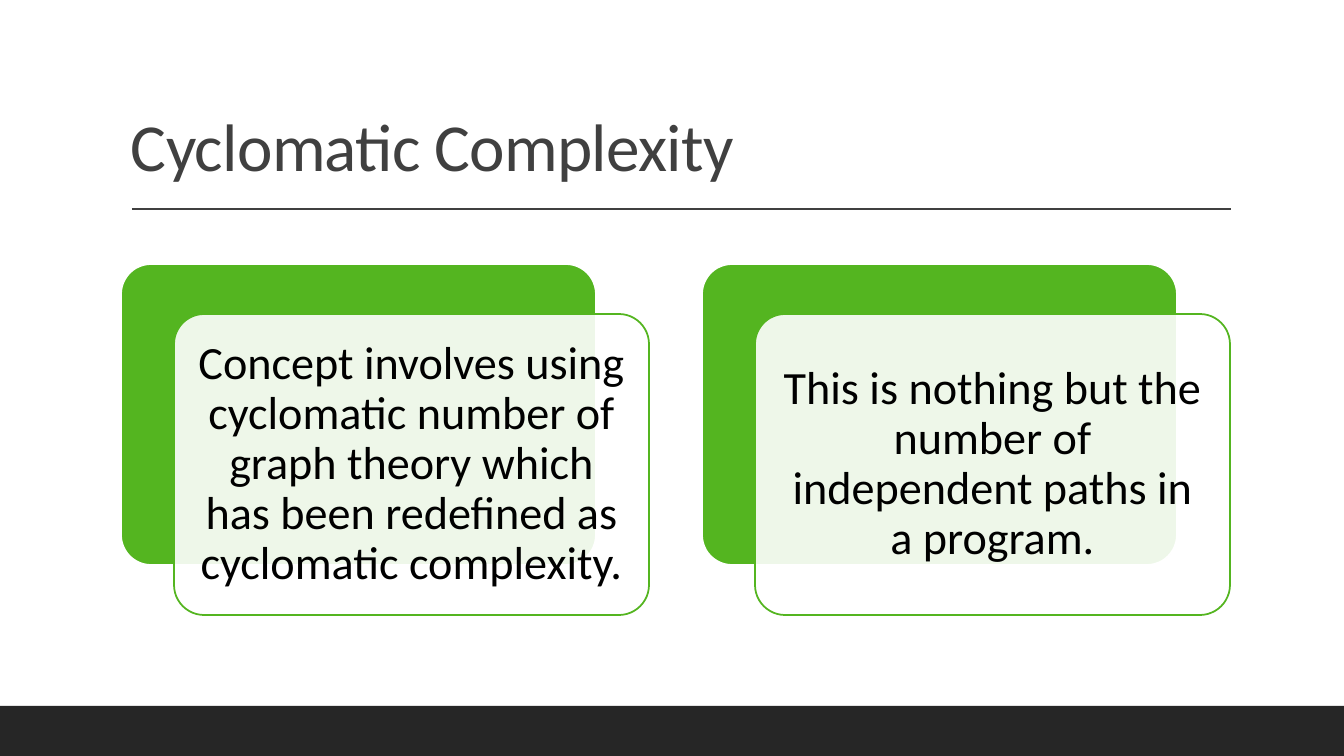
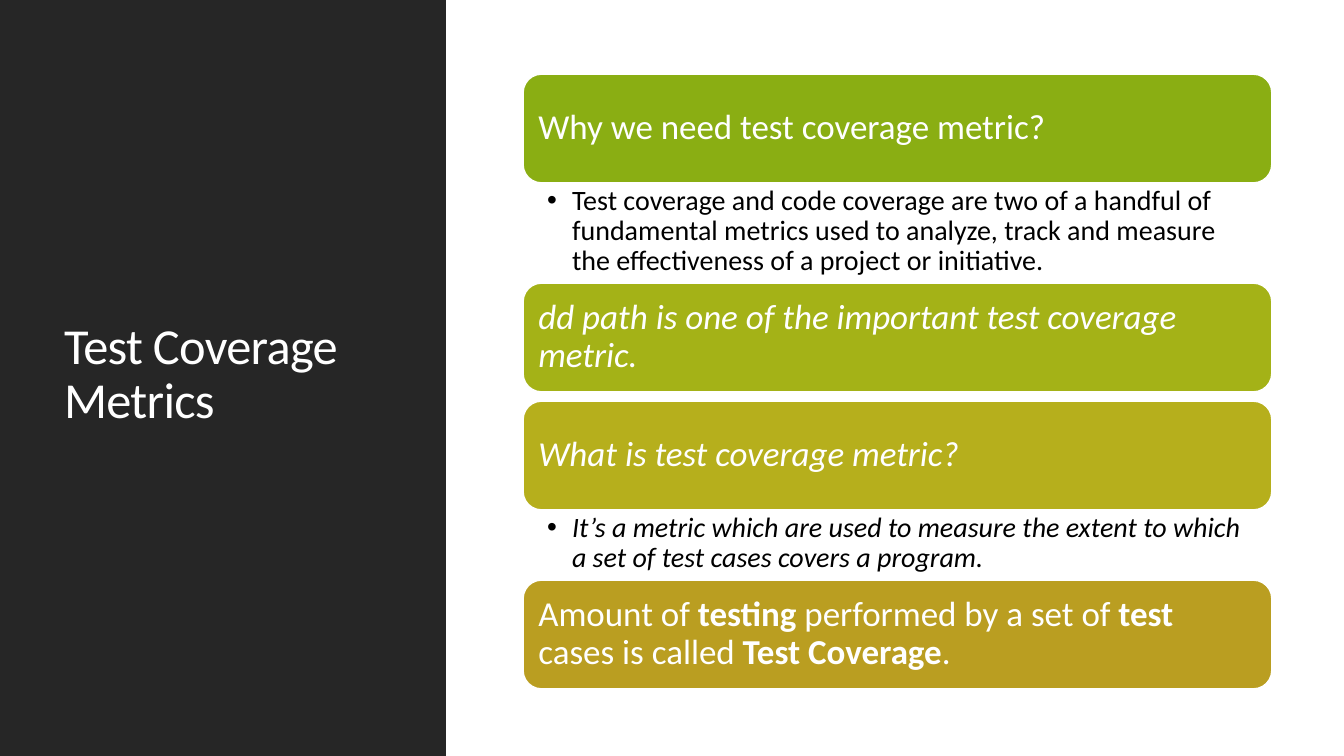
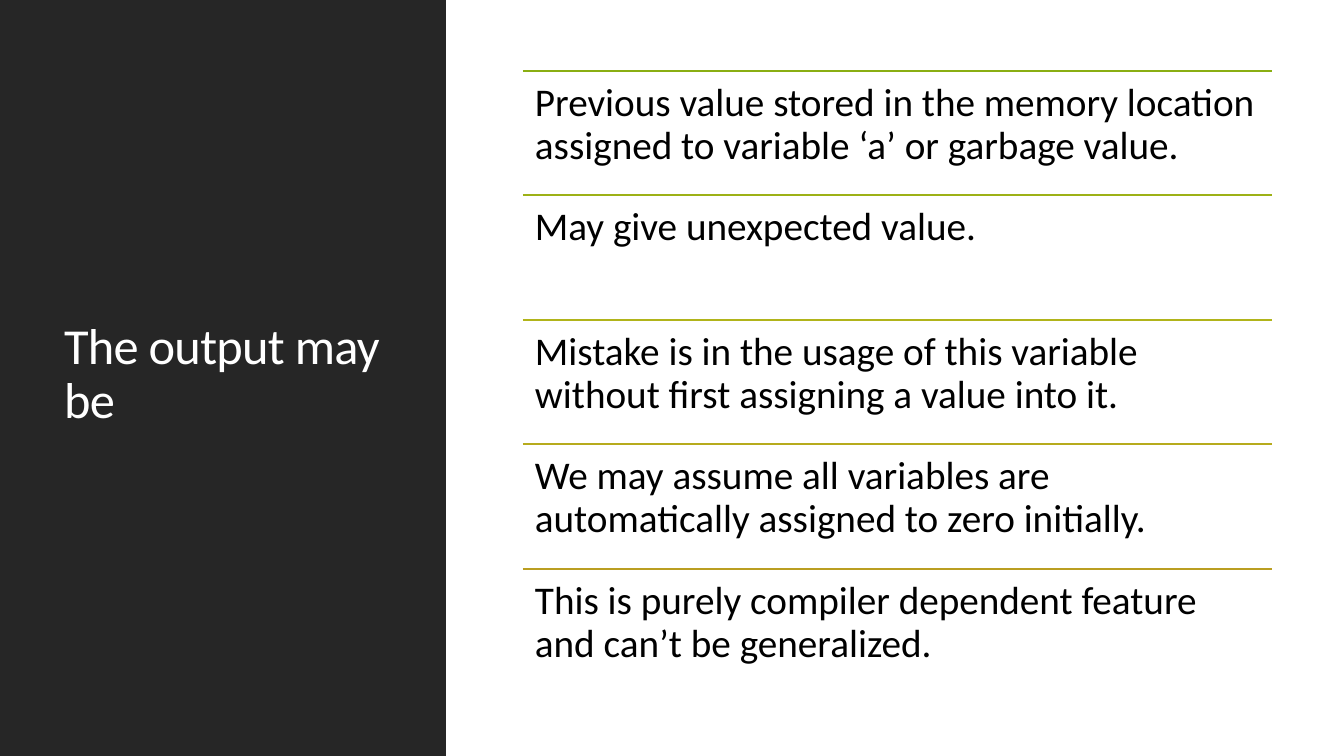
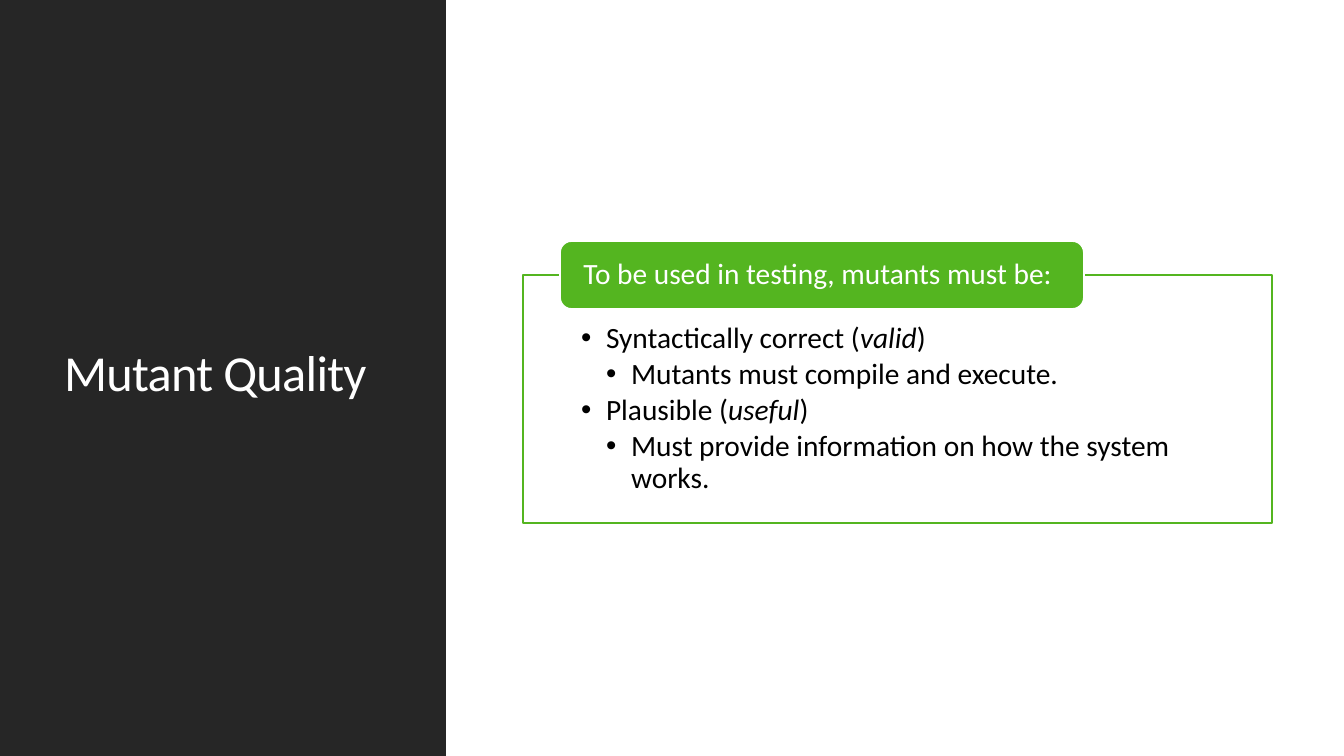
from lxml import etree
from pptx import Presentation
from pptx import util as u
from pptx.dml.color import RGBColor
from pptx.enum import shapes, text
from pptx.oxml.ns import qn

WIDTH, HEIGHT = 1344, 756
EMU_PER_PX = 12192000 / WIDTH

WHITE = RGBColor(0xFF, 0xFF, 0xFF)
BLACK = RGBColor(0x00, 0x00, 0x00)
DARK = RGBColor(0x26, 0x26, 0x26)
GREY = RGBColor(0x40, 0x40, 0x40)
GREEN = RGBColor(0x54, 0xB5, 0x20)
LIME = RGBColor(0x8A, 0xAE, 0x13)
LIME_OLIVE = RGBColor(0x9D, 0xB1, 0x16)
OLIVE = RGBColor(0xA4, 0xB2, 0x17)
OLIVE_YELLOW = RGBColor(0xB1, 0xB4, 0x1A)
MUSTARD = RGBColor(0xB6, 0xAF, 0x1C)
MUSTARD_GOLD = RGBColor(0xB7, 0xAB, 0x1D)
GOLD = RGBColor(0xBA, 0x9E, 0x21)

TITLE_ONLY, TITLE_BODY, TITLE_TWO_BODIES = 5, 1, 3
LEFT, TOP_ANCHOR = text.PP_ALIGN.LEFT, text.MSO_ANCHOR.TOP
CENTER, MIDDLE = text.PP_ALIGN.CENTER, text.MSO_ANCHOR.MIDDLE
COLUMN_X, COLUMN_W = 523, 749


def px(n):
    return u.Emu(round(n * EMU_PER_PX))


class Deck:
    font = "Calibri"
    line_width = 1.25

    def __init__(self):
        self.prs = Presentation()
        self.prs.slide_width, self.prs.slide_height = px(WIDTH), px(HEIGHT)

    def slide(self, layout):
        self.s = self.prs.slides.add_slide(self.prs.slide_layouts[layout])
        self.bodies = [b for b in self.s.placeholders if b.placeholder_format.idx]

    def place(self, sp, x, y, w, h):
        sp.left, sp.top, sp.width, sp.height = px(x), px(y), px(w), px(h)

    def frame(self, sp, insets, anchor):
        tf = sp.text_frame
        tf.word_wrap = True
        tf.auto_size = text.MSO_AUTO_SIZE.NONE
        tf.vertical_anchor = anchor
        tf.margin_left, tf.margin_top, tf.margin_right, tf.margin_bottom = map(px, insets)
        return tf

    def fill_paragraph(self, p, words, size, color, align=LEFT, emphasis="italic"):
        p.alignment = align
        p.line_spacing = 0.9
        p.space_before = u.Pt(0)
        for i, part in enumerate(words.split("*")):
            if part:
                r = p.add_run()
                r.text = part
                r.font.name, r.font.size = self.font, u.Pt(size)
                r.font.color.rgb = color
                if i % 2 and emphasis == "bold":
                    r.font.bold = True
                elif i % 2:
                    r.font.italic = True

    def title(self, words, box, size, color, anchor):
        sp = self.s.shapes.title
        self.place(sp, *box)
        p = self.frame(sp, (10, 5, 10, 5), anchor).paragraphs[0]
        self.fill_paragraph(p, words, size, color)
        for r in p.runs:
            r._r.get_or_add_rPr().set("spc", "-50")

    def box(self, x, y, w, h, fill, line=None, radius=None, opacity=100):
        kind = shapes.MSO_SHAPE.RECTANGLE if radius is None else shapes.MSO_SHAPE.ROUNDED_RECTANGLE
        sp = self.s.shapes.add_shape(kind, px(x), px(y), px(w), px(h))
        sp.shadow.inherit = False
        if radius is not None:
            sp.adjustments[0] = radius
        sp.fill.solid()
        sp.fill.fore_color.rgb = fill
        if opacity < 100:
            clr = sp._element.spPr.find(qn("a:solidFill"))[0]
            etree.SubElement(clr, qn("a:alpha"), val=str(opacity * 1000))
        if line is None:
            sp.line.fill.background()
        else:
            sp.line.color.rgb = line
            sp.line.width = u.Pt(self.line_width)
        return sp

    def label(self, sp, words, size, color, insets, align=LEFT, emphasis="italic"):
        tf = self.frame(sp, insets, MIDDLE)
        self.fill_paragraph(tf.paragraphs[0], words, size, color, align, emphasis)

    def text(self, x, y, w, h, words, size, inset):
        sp = self.s.shapes.add_textbox(px(x), px(y), px(w), px(h))
        tf = self.frame(sp, (inset,) * 4, TOP_ANCHOR)
        self.fill_paragraph(tf.paragraphs[0], words, size, BLACK)

    def bullets(self, x, y, w, h, items, size, insets):
        sp = self.bodies.pop(0)
        self.place(sp, x, y, w, h)
        tf = self.frame(sp, insets, TOP_ANCHOR)
        for i, (level, words) in enumerate(items):
            p = tf.add_paragraph() if i else tf.paragraphs[0]
            p.level = level
            pPr = p._p.get_or_add_pPr()
            pPr.set("marL", str(px(25 * level)))
            pPr.set("indent", str(px(-25)))
            etree.SubElement(pPr, qn("a:buFont"), typeface="Arial")
            etree.SubElement(pPr, qn("a:buChar"), char="•")
            self.fill_paragraph(p, words, size, BLACK)
            p.space_after = u.Pt(3)
        return sp

    def rule(self, x1, x2, y, color, width=line_width):
        c = self.s.shapes.add_connector(
            shapes.MSO_CONNECTOR.STRAIGHT, px(x1), px(y), px(x2), px(y))
        c.line.color.rgb = color
        c.line.width = u.Pt(width)
        etree.SubElement(c._element.spPr, qn("a:effectLst"))

    def banded_slide(self, title):
        self.slide(TITLE_ONLY)
        self.box(0, 706, WIDTH, 50, DARK)
        self.rule(132, 1231, 209, GREY, 1)
        self.title(title, (121, 31, 1109, 160), 48, GREY, text.MSO_ANCHOR.BOTTOM)

    def panel_slide(self, title, layout):
        self.slide(layout)
        panel = self.box(0, 0, 446, HEIGHT, DARK)
        self.s.shapes.title._element.addprevious(panel._element)
        self.title(title, (54, 57, 340, 636), 36, WHITE, MIDDLE)


def complexity(d):
    d.banded_slide("Cyclomatic Complexity")
    cards = [
        "Concept involves using cyclomatic number of graph theory which has been "
        "redefined as cyclomatic complexity.",
        "This is nothing but the number of independent paths in a program.",
    ]
    for i, words in enumerate(cards):
        x, y, w, h = 121 + 581 * i, 264, 475, 301
        d.box(x, y, w, h, GREEN, WHITE, 0.1)
        front = d.box(x + 53, y + 50, w, h, WHITE, GREEN, 0.1, 90)
        d.label(front, words, 33, BLACK, (14,) * 4, CENTER)


def coverage(d):
    d.panel_slide("Test Coverage Metrics", TITLE_TWO_BODIES)
    bar_h, gap = 109, 9
    rows = [
        (LIME, "Why we need test coverage metric?", "italic", 100,
         "Test coverage and code coverage are two of a handful of fundamental metrics "
         "used to analyze, track and measure the effectiveness of a project or initiative."),
        (OLIVE, "*dd path is one of the important test coverage metric.*", "italic", gap, None),
        (MUSTARD, "*What is test coverage metric?*", "italic", 70,
         "*It’s a metric which are used to measure the extent to which a set of test "
         "cases covers a program.*"),
        (GOLD, "Amount of *testing* performed by a set of *test* cases is called *Test Coverage*.",
         "bold", gap, None),
    ]
    y = 74
    for color, heading, emphasis, below, detail in rows:
        bar = d.box(COLUMN_X, y, COLUMN_W, bar_h, color, WHITE, 0.17)
        d.label(bar, heading, 25, WHITE, (10,) * 4, emphasis=emphasis)
        y += bar_h
        if detail:
            d.bullets(COLUMN_X, y, COLUMN_W, below, [(1, detail)], 20, (24, 3, 19, 3))
        y += below


def output(d):
    d.panel_slide("The output may be", TITLE_ONLY)
    rows = [
        (LIME, "Previous value stored in the memory location assigned to variable ‘a’ "
               "or garbage value."),
        (LIME_OLIVE, "May give unexpected value."),
        (OLIVE_YELLOW, "Mistake is in the usage of this variable without first assigning "
                       "a value into it."),
        (MUSTARD_GOLD, "We may assume all variables are automatically assigned to zero "
                       "initially."),
        (GOLD, "This is purely compiler dependent feature and can’t be generalized."),
    ]
    top, total = 71, 623
    for i, (color, words) in enumerate(rows):
        y = top + i * total // len(rows)
        d.rule(COLUMN_X, COLUMN_X + COLUMN_W, y, color)
        d.text(COLUMN_X, y, COLUMN_W, total // len(rows), words, 28, 12)


def mutants(d):
    d.panel_slide("Mutant Quality", TITLE_BODY)
    items = [
        (1, "Syntactically correct (*valid*)"),
        (2, "Mutants must compile and execute."),
        (1, "Plausible (*useful*)"),
        (2, "Must provide information on how the system works."),
    ]
    body = d.bullets(COLUMN_X, 275, COLUMN_W, 248, items, 21, (58, 48, 58, 16))
    body.line.color.rgb = GREEN
    body.line.width = u.Pt(d.line_width)
    tab = d.box(560, 241, 524, 68, GREEN, WHITE, 0.17)
    d.label(tab, "To be used in testing, mutants must be:", 21, WHITE, (20, 0, 20, 0))


def main():
    d = Deck()
    for build in (complexity, coverage, output, mutants):
        build(d)
    d.prs.save("out.pptx")


if __name__ == "__main__":
    main()
